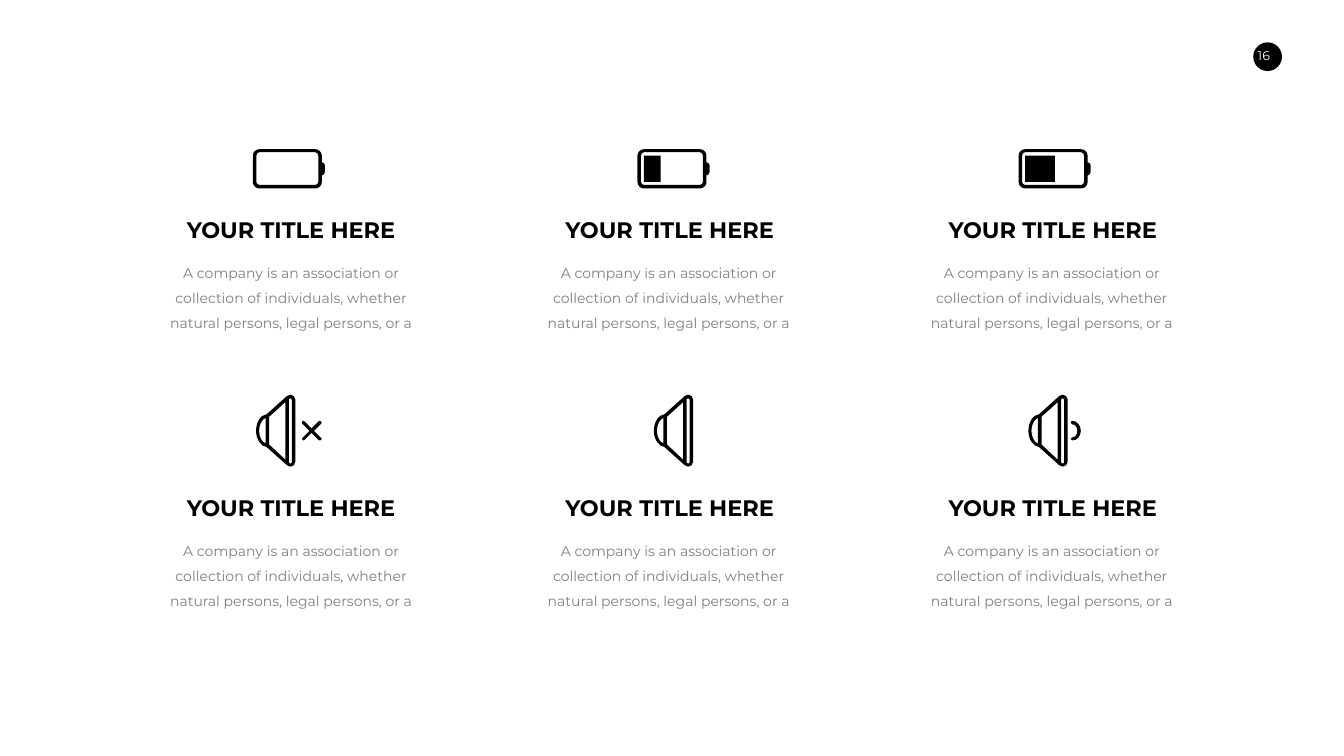
from lxml import etree
from pptx import Presentation, util as u
from pptx.dml.color import RGBColor
from pptx.enum import shapes, text
from pptx.oxml import ns

WIDTH, HEIGHT = 26.66, 15
FONT, BLACK, GREY, WHITE = "Montserrat", "000000", "7F7F7F", "FFFFFF"
TITLE = "YOUR TITLE HERE"
BODY = ("A company is an association or collection of individuals, "
        "whether natural persons, legal persons, or a")

# Grid: left edges for each kind of element, icon centres, and the row pitch
TITLE_X = (3.01, 10.52, 18.12)
BODY_X = (3.15, 10.64, 18.24)
ICON_X = (5.73, 13.36, 20.92)
TITLE_Y, BODY_Y, ROW = 4.23, 5.03, 5.52
BATTERY_Y, SPEAKER_Y = 2.96, 7.83

# Icon outlines in inches: pairs are points, sextuples are Bezier curves
SPEAKER = [
    [(.78, .1), (.78, .05, .73, 0, .68, 0), (.65, 0, .63, .02, .61, .03),
     (.21, .39), (.09, .4, 0, .55, 0, .72), (0, .89, .1, 1.03, .21, 1.04),
     (.61, 1.4), (.63, 1.42, .65, 1.43, .68, 1.43),
     (.73, 1.43, .78, 1.39, .78, 1.33)],
    [(.71, 1.33), (.71, 1.35, .7, 1.37, .68, 1.37),
     (.67, 1.37, .66, 1.36, .65, 1.35), (.65, .09),
     (.66, .07, .67, .07, .68, .07), (.7, .07, .71, .08, .71, .1)],
    [(.58, 1.29), (.26, .99), (.26, .44), (.58, .15)],
    [(.19, .97), (.12, .95, .06, .84, .06, .72),
     (.06, .59, .12, .49, .19, .46)],
]
CROSS = [
    (1.15, .72), (1.29, .58), (1.29, .57, 1.3, .56, 1.3, .56),
    (1.3, .54, 1.28, .52, 1.26, .52), (1.26, .52, 1.25, .53, 1.24, .53),
    (1.1, .67), (.96, .53), (.96, .53, .95, .52, .94, .52),
    (.92, .52, .91, .54, .91, .56), (.91, .56, .91, .57, .92, .58),
    (1.06, .72), (.92, .86), (.91, .86, .91, .87, .91, .88),
    (.91, .9, .92, .91, .94, .91), (.95, .91, .96, .91, .96, .9),
    (1.1, .76), (1.24, .9), (1.25, .91, 1.26, .91, 1.26, .91),
    (1.28, .91, 1.3, .9, 1.3, .88), (1.3, .87, 1.29, .86, 1.29, .86),
]
WAVE = [
    (.87, .52), (.86, .52, .84, .54, .84, .56), (.84, .57, .86, .59, .87, .59),
    (.93, .59, .97, .65, .97, .72), (.97, .79, .93, .85, .87, .85),
    (.86, .85, .84, .86, .84, .88), (.84, .9, .86, .91, .87, .91),
    (.96, .91, 1.04, .83, 1.04, .72), (1.04, .61, .96, .52, .87, .52),
]
BATTERY = [
    [(1.3, .65), (1.3, .68, 1.27, .71, 1.24, .71), (.13, .71),
     (.1, .71, .07, .68, .07, .65), (.07, .13), (.07, .09, .1, .06, .13, .06),
     (1.24, .06), (1.27, .06, 1.3, .09, 1.3, .13)],
    [(1.37, .26), (1.37, .13), (1.37, .06, 1.31, 0, 1.24, 0), (.13, 0),
     (.06, 0, 0, .06, 0, .13), (0, .65), (0, .72, .06, .78, .13, .78),
     (1.24, .78), (1.31, .78, 1.37, .72, 1.37, .65), (1.37, .52),
     (1.4, .52, 1.43, .49, 1.43, .45), (1.43, .32),
     (1.43, .29, 1.4, .26, 1.37, .26)],
]


def charge(right):
    """Outline of the filled part of a battery."""
    return [(.13, .65), (right, .65), (right, .13), (.13, .13)]


def colour(value):
    return RGBColor.from_string(value)


def paint(s, fill):
    s.shadow.inherit = False
    s.fill.solid()
    s.fill.fore_color.rgb = colour(fill)
    s.line.fill.background()


def bend(segment, numbers):
    """Turn a straight segment of a path into a Bezier curve."""
    segment.tag = ns.qn("a:cubicBezTo")
    for pt in list(segment):
        segment.remove(pt)
    for x, y in zip(numbers[::2], numbers[1::2]):
        etree.SubElement(segment, ns.qn("a:pt"),
                         x=str(u.Inches(x)), y=str(u.Inches(y)))


def add_icon(slide, centre, top, width, outlines):
    ends = [[tuple(map(u.Inches, part[-2:])) for part in outline]
            for outline in outlines]
    builder = slide.shapes.build_freeform(*ends[0][0])
    builder.add_line_segments(ends[0][1:])
    for points in ends[1:]:
        builder.move_to(*points[0])
        builder.add_line_segments(points[1:])
    s = builder.convert_to_shape(u.Inches(centre - width / 2), u.Inches(top))
    paint(s, BLACK)

    # Every part of an outline but its first has one segment in the path
    segments = list(s.element.iter(ns.qn("a:lnTo")))
    parts = [part for outline in outlines for part in outline[1:]]
    closed = [i for outline in outlines for i in outline[1:] + [None]]
    if len(segments) == len(closed):
        parts = closed
    for segment, part in zip(segments, parts):
        if part and len(part) == 6:
            bend(segment, part)


def add_text(slide, words, left, top, width, height, size, ink,
             bold=False, spacing=1.0, insets=(.1, .05, .1, .05)):
    s = slide.shapes.add_textbox(*map(u.Inches, (left, top, width, height)))
    tf = s.text_frame
    tf.word_wrap = True
    tf.margin_left, tf.margin_top, tf.margin_right, tf.margin_bottom = map(
        u.Inches, insets)
    p = tf.paragraphs[0]
    p.alignment = text.PP_ALIGN.CENTER
    p.line_spacing = spacing
    r = p.add_run()
    r.text = words
    r.font.name, r.font.size, r.font.bold = FONT, u.Pt(size), bold
    r.font.color.rgb = colour(ink)


def add_page_number(slide, number):
    s = slide.shapes.add_shape(shapes.MSO_SHAPE.OVAL, *map(
        u.Inches, (24.86, .84, .57, .57)))
    paint(s, BLACK)
    add_text(slide, number, 24.7, .85, .86, .5, 18, WHITE,
             insets=(.2, .1, .32, .1))


def main():
    prs = Presentation()
    prs.slide_width, prs.slide_height = u.Inches(WIDTH), u.Inches(HEIGHT)
    slide = prs.slides.add_slide(prs.slide_layouts[6])

    add_page_number(slide, "16")

    # Titles and descriptions, two rows of three
    for row in range(2):
        for title_x, body_x in zip(TITLE_X, BODY_X):
            add_text(slide, BODY, body_x, BODY_Y + row * ROW,
                     5.25, 1.54, 20, GREY, spacing=1.5)
            add_text(slide, TITLE, title_x, TITLE_Y + row * ROW,
                     5.53, .64, 32, BLACK, bold=True)

    # Batteries above, speakers below
    charges = ([], [charge(.46)], [charge(.72)])
    sounds = ((1.3, [CROSS]), (.78, []), (1.04, [WAVE]))
    for x, level, (width, sound) in zip(ICON_X, charges, sounds):
        add_icon(slide, x, BATTERY_Y, 1.43, BATTERY + level)
        add_icon(slide, x, SPEAKER_Y, width, SPEAKER + sound)

    prs.save("out.pptx")


if __name__ == "__main__":
    main()
